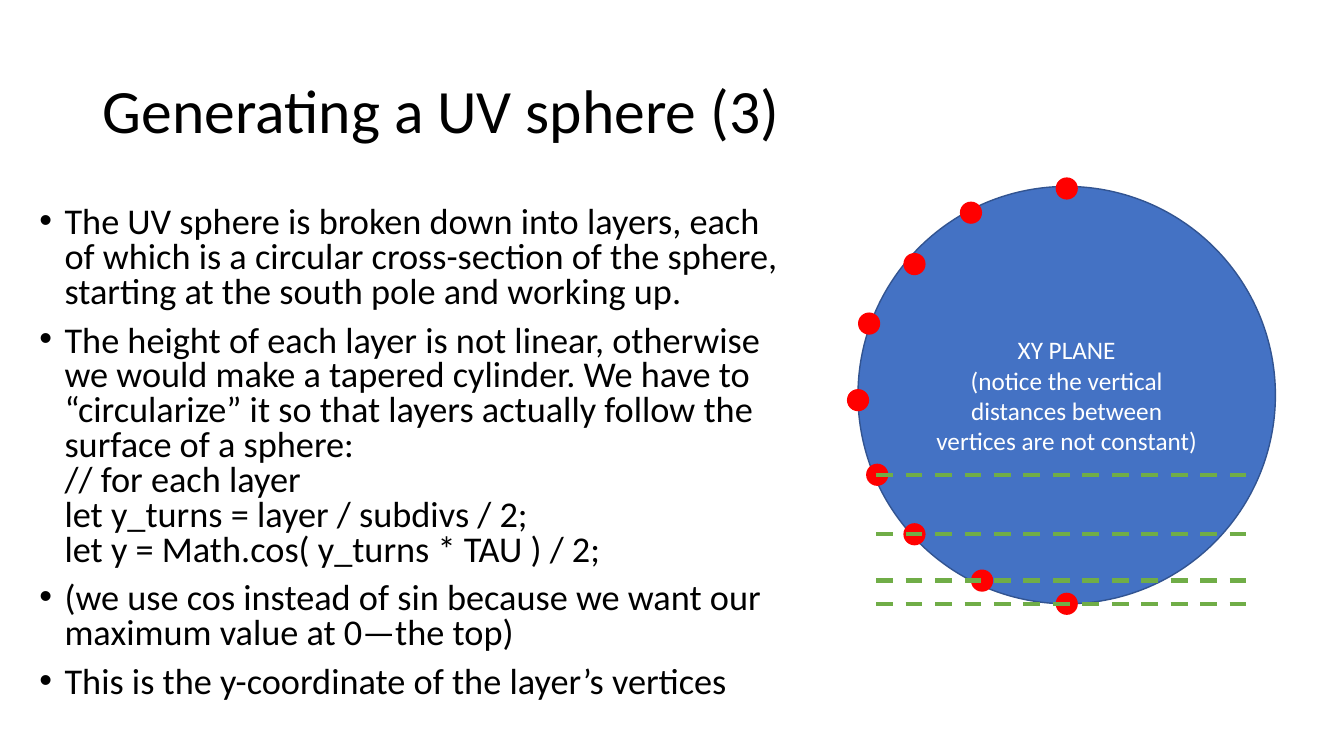
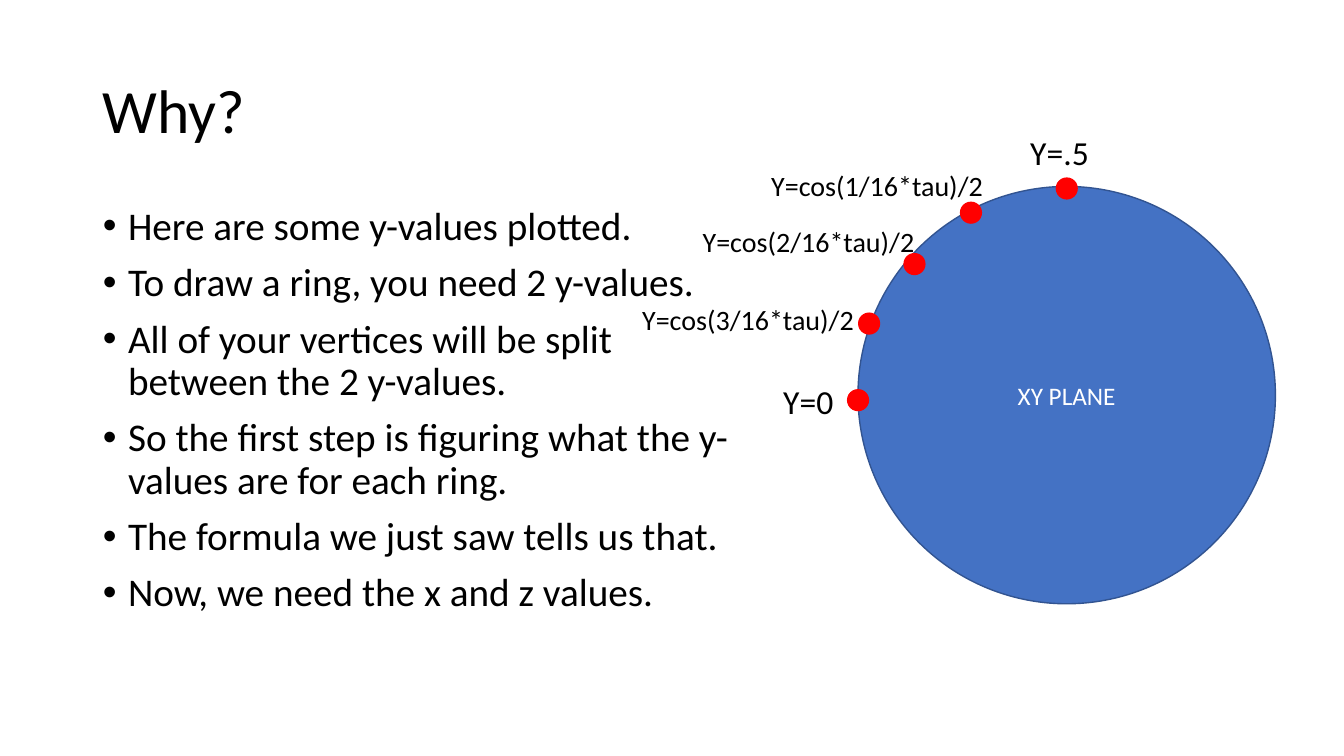
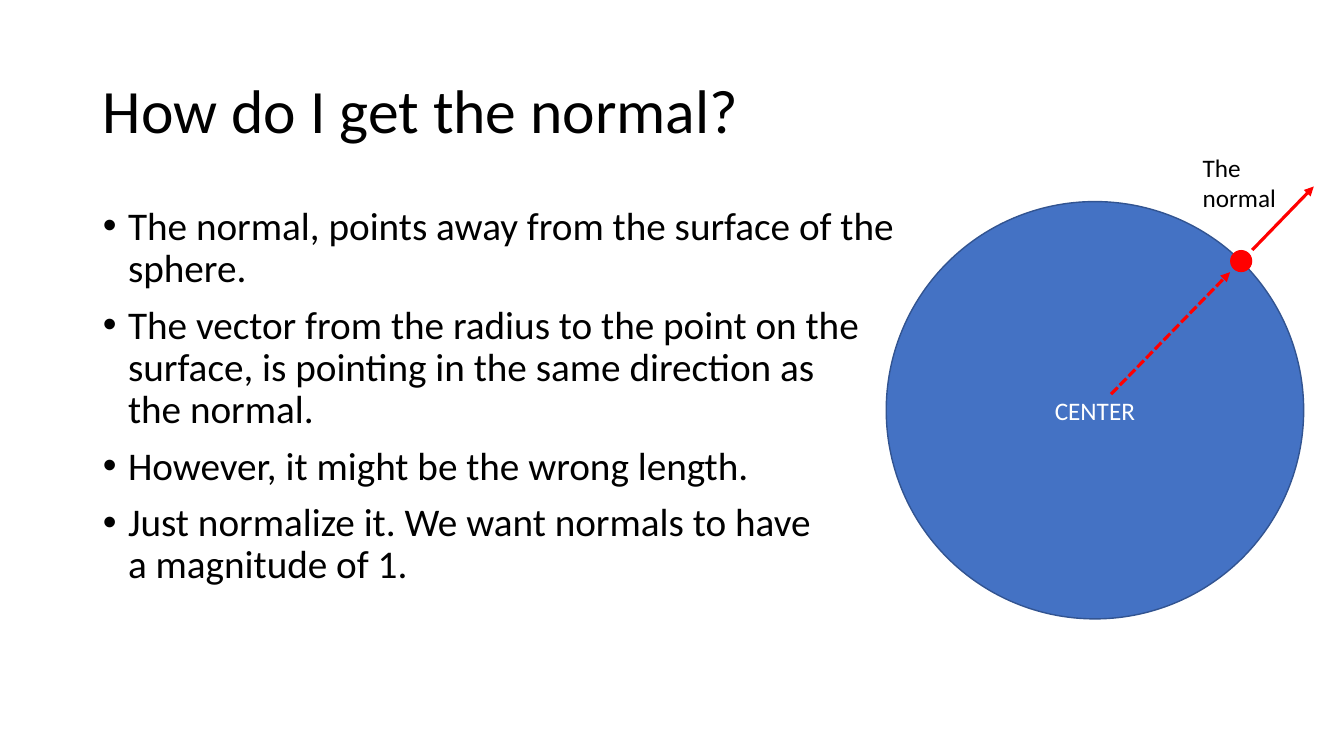
from copy import deepcopy

from pptx import Presentation
from pptx.dml.color import RGBColor
from pptx.enum.dml import MSO_LINE
from pptx.enum.shapes import MSO_CONNECTOR, MSO_SHAPE
from pptx.enum.text import MSO_ANCHOR, MSO_AUTO_SIZE, PP_ALIGN
from pptx.oxml.ns import qn
from pptx.oxml.xmlchemy import OxmlElement
from pptx.util import Emu, Pt

PX = 9144  # 100 px to the inch
FONT = "Calibri"
BLACK, WHITE = "000000", "FFFFFF"
BLUE, NAVY, RED, GREEN = "4472C4", "325491", "FF0000", "70AD47"
DISC, DOT = 414, 22

# Dot centres, measured from the corner of the disc
UPPER = [(207, 2), (112, 26), (56, 77), (11, 136), (0, 212)]
LOWER = [(19, 286), (56, 345), (123, 391), (207, 414)]


def px(*nums):
    return [Emu(num * PX) for num in nums]


def rgb(code):
    return RGBColor.from_string(code)


def style(par, size, color):
    """Format the runs and the line breaks of a paragraph alike."""
    for run in par.runs:
        run.font.size = Pt(size)
        run.font.name = FONT
        run.font.color.rgb = rgb(color)
    for gap in par._p.findall(qn("a:br")):
        gap.insert(0, deepcopy(par.runs[0]._r.rPr))


def place(shape, box):
    shape.left, shape.top, shape.width, shape.height = px(*box)


def add_page(deck, title, items, box, size=28, pitch=0.9):
    """Add a slide with its title and a bulleted list in the given box."""
    page = deck.slides.add_slide(deck.slide_layouts[1])
    head, body = page.placeholders
    place(head, (92, 40, 1150, 145))
    frame = head.text_frame
    frame.text = title
    frame.auto_size = MSO_AUTO_SIZE.NONE
    frame.vertical_anchor = MSO_ANCHOR.MIDDLE
    line = frame.paragraphs[0]
    line.alignment = PP_ALIGN.LEFT
    line.line_spacing = 0.9
    style(line, 44, BLACK)

    place(body, box)
    frame = body.text_frame
    frame.auto_size = MSO_AUTO_SIZE.NONE
    for rank, item in enumerate(items):
        par = frame.add_paragraph() if rank else frame.paragraphs[0]
        par.text = item
        par.line_spacing = pitch
        par.space_before = Pt(10 if rank else 0)
        props = par._p.get_or_add_pPr()
        props.set("marL", str(25 * PX))
        props.set("indent", str(-25 * PX))
        style(par, size, BLACK)
    return page


def add_oval(page, x, y, side, fill):
    oval = page.shapes.add_shape(MSO_SHAPE.OVAL, *px(x, y, side, side))
    oval.shadow.inherit = False
    oval.fill.solid()
    oval.fill.fore_color.rgb = rgb(fill)
    oval.line.fill.background()
    return oval


def add_disc(page, x, y, text, dots):
    disc = add_oval(page, x, y, DISC, BLUE)
    disc.line.color.rgb = rgb(NAVY)
    disc.line.width = Pt(1)
    frame = disc.text_frame
    frame.word_wrap = True
    frame.vertical_anchor = MSO_ANCHOR.MIDDLE
    par = frame.paragraphs[0]
    par.text = text
    par.alignment = PP_ALIGN.CENTER
    style(par, 18, WHITE)
    for dx, dy in dots:
        add_oval(page, x + dx - DOT // 2, y + dy - DOT // 2, DOT, RED)


def add_line(page, start, end, color, width, dash=None, arrow=False):
    line = page.shapes.add_connector(
        MSO_CONNECTOR.STRAIGHT, *px(*start, *end))
    line.line.color.rgb = rgb(color)
    line.line.width = Pt(width)
    if dash:
        line.line.dash_style = dash
    if arrow:
        tip = OxmlElement("a:tailEnd")
        tip.set("type", "triangle")
        line.line._get_or_add_ln().append(tip)
    line._element.spPr.append(OxmlElement("a:effectLst"))


def add_label(page, box, text, size):
    label = page.shapes.add_textbox(*px(*box))
    frame = label.text_frame
    frame.word_wrap = True
    frame.text = text
    style(frame.paragraphs[0], size, BLACK)


def add_layers(deck):
    page = add_page(deck, "Generating a UV sphere (3)", [
        "The UV sphere is broken down into layers, each of which is a "
        "circular cross-section of the sphere, starting at the south pole "
        "and working up.",
        "The height of each layer is not linear, otherwise we would make a "
        "tapered cylinder. We have to “circularize” it so that layers "
        "actually follow the surface of a sphere:\n"
        "// for each layer\n"
        "let y_turns = layer / subdivs / 2;\n"
        "let y = Math.cos( y_turns * TAU ) / 2;",
        "(we use cos instead of sin because we want our maximum value at "
        "0—the top)",
        "This is the y-coordinate of the layer’s vertices",
    ], (29, 200, 759, 550), 25.9, 0.8)
    x, y = 851, 185
    add_disc(page, x, y, "XY PLANE\n(notice the vertical distances between "
             "vertices are not constant)", UPPER + LOWER)
    for _, dy in LOWER:
        add_line(page, (x + 18, y + dy), (x + 391, y + dy), GREEN, 3,
                 MSO_LINE.DASH)


def add_values(deck):
    page = add_page(deck, "Why?", [
        "Here are some y-values plotted.",
        "To draw a ring, you need 2 y-values.",
        "All of your vertices will be split between the 2 y-values.",
        "So the first step is figuring what the y-values are for each ring.",
        "The formula we just saw tells us that.",
        "Now, we need the x and z values.",
    ], (92, 200, 642, 476))
    x, y = 851, 185
    add_disc(page, x, y, "XY PLANE", UPPER)
    add_label(page, (x - 84, y + 188, 74, 50), "Y=0", 24)
    add_label(page, (x + 161, y - 59, 93, 50), "Y=.5", 24)
    spots = [(-96, -23), (-164, 33), (-224, 110)]
    for step, (dx, dy) in enumerate(spots, 1):
        add_label(page, (x + dx, y + dy, 255, 44),
                  f"Y=cos({step}/16*tau)/2", 20)


def add_normal(deck):
    page = add_page(deck, "How do I get the normal?", [
        "The normal, points away from the surface of the sphere.",
        "The vector from the radius to the point on the\n"
        "surface, is pointing in the same direction as\nthe normal.",
        "However, it might be the wrong length.",
        "Just normalize it. We want normals to have\na magnitude of 1.",
    ], (92, 200, 843, 476))
    x, y = 879, 200
    add_disc(page, x, y, "CENTER", [(352, 59)])
    add_line(page, (x + 223, y + 191), (x + 341, y + 70), RED, 2.25,
             MSO_LINE.SQUARE_DOT, True)
    add_line(page, (x + 363, y + 48), (x + 424, y - 15), RED, 2.25,
             arrow=True)
    add_label(page, (x + 304, y - 54, 128, 71), "The normal", 18)


def main():
    deck = Presentation()
    deck.slide_width, deck.slide_height = px(1333, 750)
    add_layers(deck)
    add_values(deck)
    add_normal(deck)
    deck.save("out.pptx")


if __name__ == "__main__":
    main()
